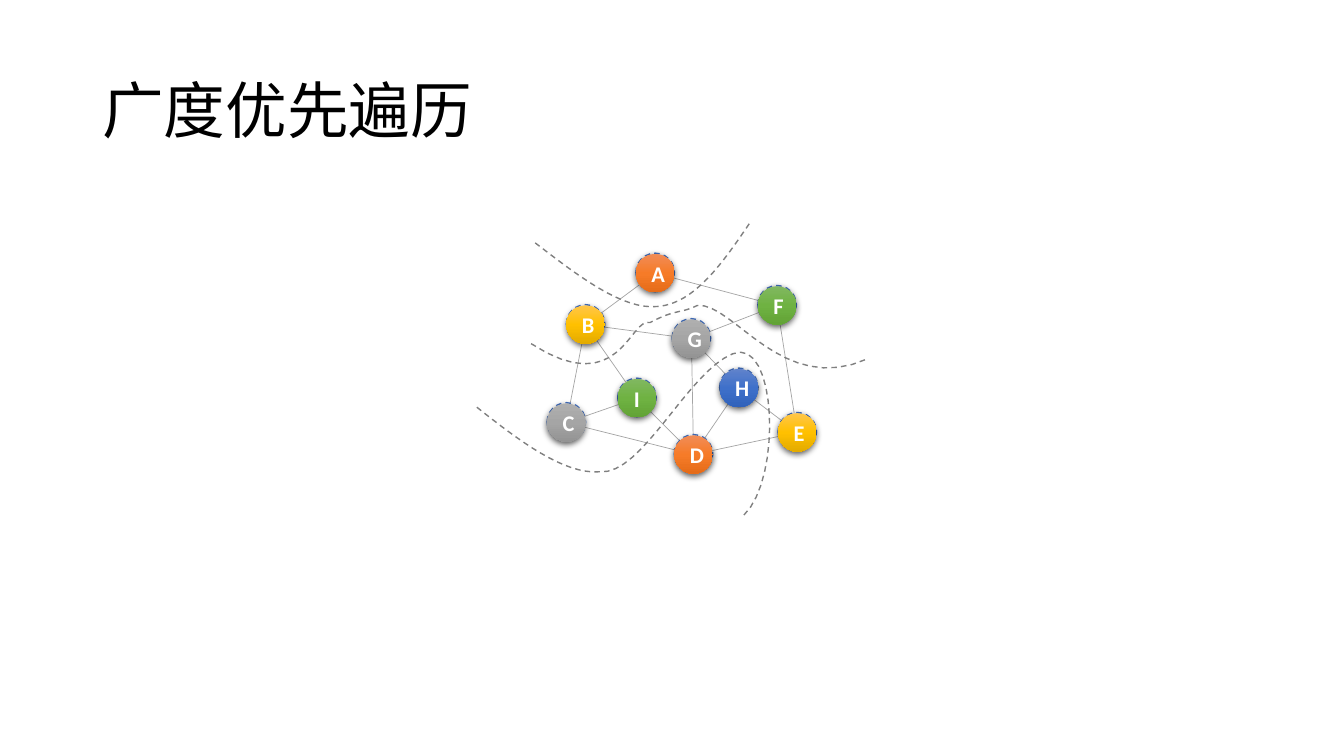
from dataclasses import dataclass

import lxml.etree
import pptx
import pptx.dml.color
import pptx.enum.dml
import pptx.enum.shapes
import pptx.enum.text
import pptx.oxml.ns
import pptx.shapes.autoshape
import pptx.slide
import pptx.util

Pt = pptx.util.Pt
RGBColor = pptx.dml.color.RGBColor
qn = pptx.oxml.ns.qn
Point = tuple[float, float]
Gradient = tuple[RGBColor, RGBColor, RGBColor]

BLACK = RGBColor(0x00, 0x00, 0x00)
WHITE = RGBColor(0xFF, 0xFF, 0xFF)
EDGE_GRAY = RGBColor(0xA5, 0xA5, 0xA5)
FRONTIER_GRAY = RGBColor(0x80, 0x80, 0x80)
RING_BLUE = RGBColor(0x44, 0x72, 0xC4)
BLUE: Gradient = (RGBColor(0x61, 0x83, 0xCB), RGBColor(0x3E, 0x70, 0xCA), RGBColor(0x30, 0x62, 0xBB))
ORANGE: Gradient = (RGBColor(0xF1, 0x8C, 0x57), RGBColor(0xF6, 0x7B, 0x28), RGBColor(0xE5, 0x6C, 0x19))
YELLOW: Gradient = (RGBColor(0xFF, 0xC6, 0x4B), RGBColor(0xFF, 0xC0, 0x00), RGBColor(0xE3, 0xAB, 0x00))
GRAY: Gradient = (RGBColor(0xAF, 0xAF, 0xAF), RGBColor(0xA5, 0xA5, 0xA5), RGBColor(0x93, 0x93, 0x93))
GREEN: Gradient = (RGBColor(0x81, 0xB8, 0x61), RGBColor(0x6F, 0xB2, 0x42), RGBColor(0x62, 0xA3, 0x36))

TITLE_FONT = "Noto Sans CJK SC"
NODE_FONT = "Calibri"
DIAMETER = 27.5
RING_RISE = 0.5
CURVE_STEPS = 16


@dataclass(frozen=True)
class Node:
    letter: str
    x: float
    y: float
    gradient: Gradient


@dataclass(frozen=True)
class Frontier:
    start: Point
    arcs: tuple[tuple[Point, Point, Point], ...]


NODES = [
    Node("H", 527.8, 277.2, BLUE),
    Node("A", 468, 195.1, ORANGE),
    Node("B", 418.3, 231.9, YELLOW),
    Node("G", 493.9, 241.9, GRAY),
    Node("F", 555.1, 218.2, GREEN),
    Node("C", 404.6, 301.9, GRAY),
    Node("I", 455, 284.4, GREEN),
    Node("D", 495.4, 324.7, ORANGE),
    Node("E", 569.5, 308.9, YELLOW),
]

EDGES = "AB BC ED DC FE FG FA GB IC BI ID GD GH HE HD".split()

FRONTIERS = [
    Frontier((382.3, 173.5), (
        ((413.3, 197.3), (445, 221.8), (470.2, 218.9)),
        ((496.1, 216.7), (516.2, 187.9), (535.7, 159.1)),
    )),
    Frontier((379.4, 245.5), (
        ((442.8, 286.6), (450, 226.1), (464.4, 230.4)),
        ((483.8, 220.3), (484.6, 224.6), (498.2, 218.2)),
        ((524.2, 216), (558.7, 283.7), (619.9, 256.3)),
    )),
    Frontier((340.6, 290.9), (
        ((371.5, 315.4), (403.2, 339.1), (428.4, 337)),
        ((458.6, 339.8), (491, 265.7), (523.4, 252.7)),
        ((555.1, 239.8), (558.7, 342), (531.4, 367.9)),
    )),
]


def add_title(slide: pptx.slide.Slide, wording: str) -> None:
    title = slide.shapes.add_textbox(Pt(66), Pt(28.75), Pt(828), Pt(104.4))
    frame = title.text_frame
    frame.word_wrap = True
    frame.vertical_anchor = pptx.enum.text.MSO_ANCHOR.MIDDLE
    paragraph = frame.paragraphs[0]
    paragraph.line_spacing = 0.9
    run = paragraph.add_run()
    run.text = wording
    run.font.size = Pt(44)
    run.font.color.rgb = BLACK
    run.font.name = TITLE_FONT
    east_asian = lxml.etree.SubElement(run.font._element, qn("a:ea"))
    east_asian.set("typeface", TITLE_FONT)


def add_edge(slide: pptx.slide.Slide, start: Node, end: Node) -> None:
    edge = slide.shapes.add_connector(
        pptx.enum.shapes.MSO_CONNECTOR.STRAIGHT,
        Pt(start.x), Pt(start.y), Pt(end.x), Pt(end.y),
    )
    edge.line.color.rgb = EDGE_GRAY
    edge.line.width = Pt(0.5)
    lxml.etree.SubElement(edge._element.spPr, qn("a:effectLst"))


def add_circle(slide: pptx.slide.Slide, node: Node, rise: float) -> pptx.shapes.autoshape.Shape:
    circle = slide.shapes.add_shape(
        pptx.enum.shapes.MSO_SHAPE.OVAL,
        Pt(node.x - DIAMETER / 2), Pt(node.y - DIAMETER / 2 - rise),
        Pt(DIAMETER), Pt(DIAMETER),
    )
    circle.shadow.inherit = False
    return circle


def set_dashed_line(shape: pptx.shapes.autoshape.Shape, color: RGBColor) -> None:
    shape.line.color.rgb = color
    shape.line.width = Pt(1)
    shape.line.dash_style = pptx.enum.dml.MSO_LINE.DASH


def add_ring(slide: pptx.slide.Slide, node: Node) -> None:
    ring = add_circle(slide, node, RING_RISE)
    ring.fill.solid()
    ring.fill.fore_color.rgb = WHITE
    set_dashed_line(ring, RING_BLUE)


def add_disc(slide: pptx.slide.Slide, node: Node) -> None:
    disc = add_circle(slide, node, 0)
    disc.fill.gradient()
    disc.fill.gradient_angle = 270
    properties = disc._element.spPr
    stops = properties.find(".//" + qn("a:gsLst"))
    stops.clear()
    for position, color in zip((0, 50000, 100000), node.gradient):
        stop = lxml.etree.SubElement(stops, qn("a:gs"), pos=str(position))
        lxml.etree.SubElement(stop, qn("a:srgbClr"), val=str(color))
    disc.line.fill.background()
    shadow = lxml.etree.SubElement(
        properties.find(qn("a:effectLst")), qn("a:outerShdw"),
        blurRad=str(Pt(4.5)), dist=str(Pt(1.5)), dir="5400000", algn="ctr", rotWithShape="0",
    )
    shade = lxml.etree.SubElement(shadow, qn("a:srgbClr"), val=str(BLACK))
    lxml.etree.SubElement(shade, qn("a:alpha"), val="63000")

    frame = disc.text_frame
    frame.word_wrap = True
    frame.vertical_anchor = pptx.enum.text.MSO_ANCHOR.MIDDLE
    paragraph = frame.paragraphs[0]
    paragraph.alignment = pptx.enum.text.PP_ALIGN.CENTER
    run = paragraph.add_run()
    run.text = node.letter
    run.font.name = NODE_FONT
    run.font.size = Pt(16)
    run.font.bold = True
    run.font.color.rgb = WHITE


def bezier(controls: tuple[Point, ...], t: float) -> Point:
    weights = ((1 - t) ** 3, 3 * t * (1 - t) ** 2, 3 * t ** 2 * (1 - t), t ** 3)
    x, y = (sum(w * c[axis] for w, c in zip(weights, controls)) for axis in (0, 1))
    return x, y


def add_frontier(slide: pptx.slide.Slide, frontier: Frontier) -> None:
    points = [frontier.start]
    for arc in frontier.arcs:
        controls = (points[-1], *arc)
        points += [bezier(controls, step / CURVE_STEPS) for step in range(1, CURVE_STEPS + 1)]
    vertices = [(Pt(x), Pt(y)) for x, y in points]
    builder = slide.shapes.build_freeform(*vertices[0])
    builder.add_line_segments(vertices[1:], close=False)
    curve = builder.convert_to_shape()
    curve.shadow.inherit = False
    curve.fill.background()
    set_dashed_line(curve, FRONTIER_GRAY)


def main() -> None:
    deck = pptx.Presentation()
    deck.slide_width, deck.slide_height = Pt(960), Pt(540)
    slide = deck.slides.add_slide(deck.slide_layouts[6])
    add_title(slide, "广度优先遍历")
    by_letter = {node.letter: node for node in NODES}
    for start, end in EDGES:
        add_edge(slide, by_letter[start], by_letter[end])
    for node in NODES:
        add_ring(slide, node)
    for node in NODES:
        add_disc(slide, node)
    for frontier in FRONTIERS:
        add_frontier(slide, frontier)
    deck.save("out.pptx")


if __name__ == "__main__":
    main()
